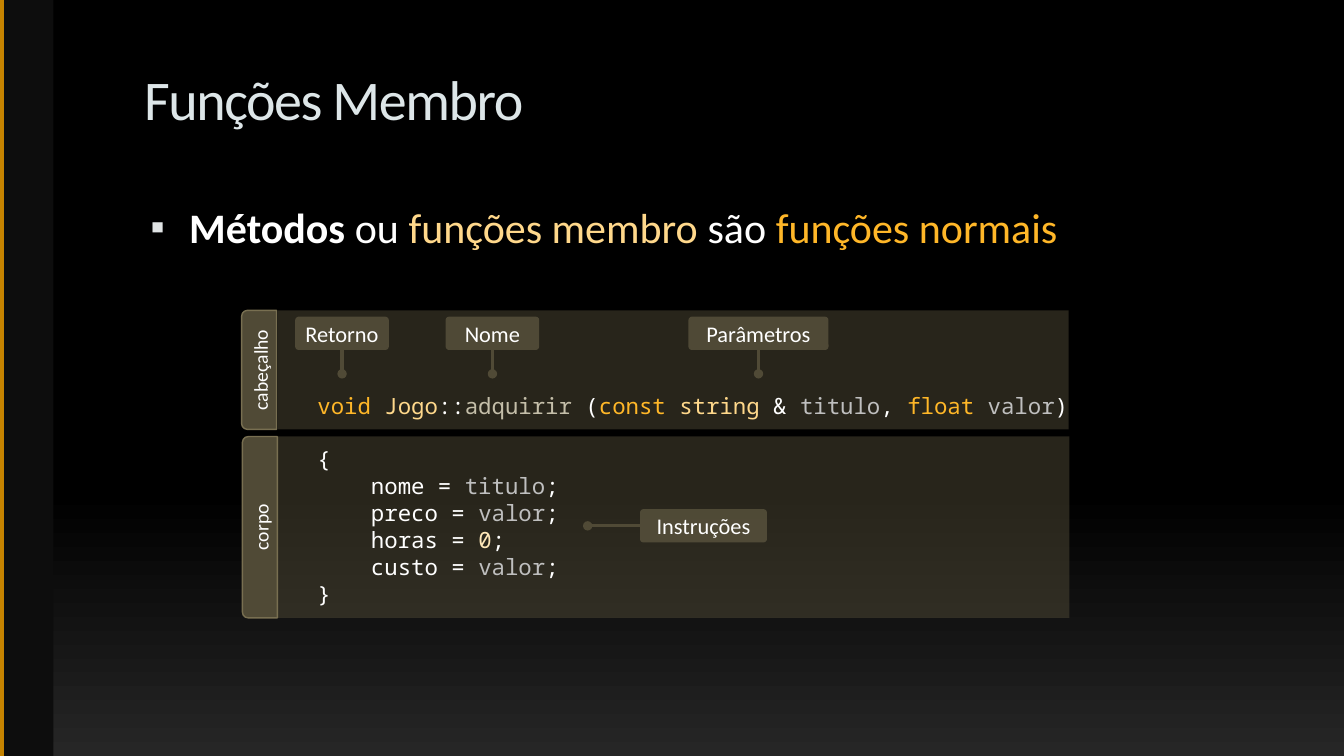
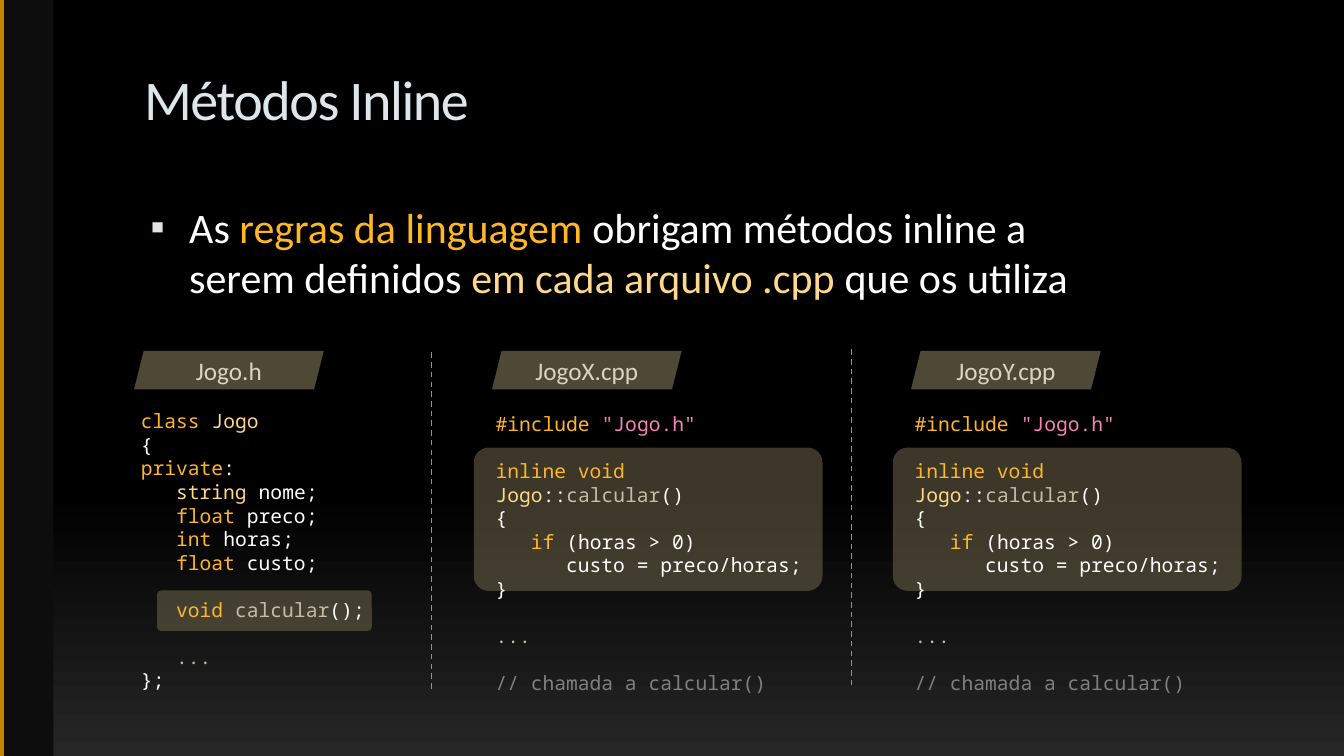
"""Builds two dark slides on C++ member functions and inline methods."""
from copy import deepcopy
from dataclasses import dataclass, field

from lxml import etree
from pptx import Presentation
from pptx import util as u
from pptx.dml.color import RGBColor
from pptx.enum import dml, shapes, text
from pptx.oxml.ns import qn

Cm = u.Cm
Kind = shapes.MSO_SHAPE


@dataclass(frozen=True)
class Theme:
    sans: str = "Calibri"
    mono: str = "Noto Sans Mono"
    title: int = 40
    body: int = 30
    heading: int = 18
    label: int = 16
    tab: int = 14
    code_large: int = 16
    code_small: int = 14
    leading: float = 1.2
    corner: float = 0.104
    backdrop: tuple = ((0, "000000"), (0.65, "000000"), (1, "262626"))
    colours: dict = field(default_factory=lambda: {
        "plain": "FFFFFF", "strong": "FFFFFF", "key": "FFB728",
        "type": "FFD88B", "method": "C4BEA9", "variable": "BFBFBF",
        "number": "FFE8B9", "string": "F684B8", "comment": "808080",
        "title": "DDE6E8", "heading": "D8D4C5", "bullet": "E0E4E5",
        "sidebar": "0D0D0D", "accent": "C58300", "chip": "9D936F",
        "panel": "786F51", "band": "504A36",
    })


THEME = Theme()

MEMBER_TITLE = "Funções Membro"
MEMBER_BODY = [[("strong", "Métodos"), ("plain", " ou "), ("type", "funções membro"),
                ("plain", " são "), ("key", "funções normais")]]
MEMBER_CODE = [
    [("key", "void "), ("type", "Jogo"), ("plain", "::"), ("method", "adquirir "),
     ("plain", "("), ("key", "const "), ("type", "string "), ("plain", "& "),
     ("variable", "titulo"), ("plain", ", "), ("key", "float "),
     ("variable", "valor"), ("plain", ")")],
    [],
    [("plain", "{")],
    [("plain", "    nome = "), ("variable", "titulo"), ("plain", ";")],
    [("plain", "    preco = "), ("variable", "valor"), ("plain", ";")],
    [("plain", "    horas = "), ("number", "0"), ("plain", ";")],
    [("plain", "    custo = "), ("variable", "valor"), ("plain", ";")],
    [("plain", "}")],
]
BANDS = [("cabeçalho", 6.99, 7.82, 3), ("corpo", 7.01, 11, 4.57)]
CALLOUTS = [
    ("Retorno", 7.44, 7.98, 2.36, "down"),
    ("Nome", 11.23, 7.98, 2.36, "down"),
    ("Parâmetros", 17.35, 7.98, 3.53, "down"),
    ("Instruções", 16.13, 12.83, 3.2, "left"),
]

INLINE_TITLE = "Métodos Inline"
INLINE_BODY = [[("plain", "As "), ("key", "regras da linguagem"),
                ("plain", " obrigam métodos inline a serem definidos "),
                ("type", "em cada arquivo .cpp"), ("plain", " que os utiliza")]]
HEADER_CODE = [
    [("key", "class "), ("type", "Jogo")],
    [("plain", "{")],
    [("key", "private"), ("plain", ":")],
    [("type", "   string"), ("plain", " nome;")],
    [("key", "   float"), ("plain", " preco;")],
    [("key", "   int"), ("plain", " horas;")],
    [("key", "   float"), ("plain", " custo;")],
    [],
    [("key", "   void "), ("method", "calcular"), ("plain", "();")],
    [],
    [("method", "   ...")],
    [("plain", "};")],
]
SOURCE_CODE = [
    [("key", "#include "), ("string", '"Jogo.h"')],
    [],
    [("key", "inline void "), ("type", "Jogo"), ("plain", "::"),
     ("method", "calcular"), ("plain", "()")],
    [("plain", "{")],
    [("key", "   if"), ("plain", " (horas > 0)")],
    [("plain", "      custo = preco/horas;")],
    [("plain", "}")],
    [],
    [("method", "...")],
    [],
    [("comment", "// chamada a calcular()")],
]
HEADER_FILE = {"code": HEADER_CODE, "code_box": (-0.08, 10.19, 6.25, 7.44),
               "panel_box": (0.58, 14.88, 5.41, 1.02)}
SOURCE_FILE = {"code": SOURCE_CODE, "code_box": (-0.16, 10.26, 8.26, 6.83),
               "panel_box": (-0.46, 11.28, 8.79, 3.61)}
FILES = [("Jogo.h", 3.38, HEADER_FILE), ("JogoX.cpp", 12.4, SOURCE_FILE),
         ("JogoY.cpp", 22.96, SOURCE_FILE)]
DIVIDERS = [(10.87, 8.81, 17.35), (21.46, 8.71, 17.27)]


def colour(role):
    return RGBColor.from_string(THEME.colours[role])


def lengths(values):
    return [Cm(value) for value in values]


def write(frame, lines, *, size, font=THEME.sans, align=text.PP_ALIGN.LEFT,
          anchor=text.MSO_ANCHOR.TOP, leading=None, spacing=None, bullet=False):
    frame.word_wrap = True
    frame.vertical_anchor = anchor
    gap = 0
    paragraph = None
    for line in lines:
        if not line:
            gap += leading
            continue
        paragraph = frame.add_paragraph() if paragraph else frame.paragraphs[0]
        paragraph.alignment = align
        if bullet:
            add_bullet(paragraph)
        if leading:
            paragraph.line_spacing = u.Pt(leading)
        if gap:
            paragraph.space_before = u.Pt(gap)
            gap = 0
        for role, words in line:
            run = paragraph.add_run()
            run.text = words
            run.font.name = font
            run.font.size = u.Pt(size)
            run.font.bold = role == "strong"
            run.font.color.rgb = colour(role)
            if spacing:
                run.font._element.set("spc", str(spacing))


def add_bullet(paragraph):
    properties = paragraph._p.get_or_add_pPr()
    properties.set("marL", str(Cm(1.14)))
    properties.set("indent", str(Cm(-0.97)))
    tint = etree.SubElement(properties, qn("a:buClr"))
    etree.SubElement(tint, qn("a:srgbClr"), val=THEME.colours["bullet"])
    etree.SubElement(properties, qn("a:buSzPct"), val="95000")
    etree.SubElement(properties, qn("a:buFont"), typeface=THEME.sans)
    etree.SubElement(properties, qn("a:buChar"), char="▪")


def add_text(slide, box, lines, *, inset=None, **style):
    frame = slide.shapes.add_textbox(*lengths(box)).text_frame
    if inset is not None:
        frame.margin_left = frame.margin_right = Cm(inset)
        frame.margin_top = frame.margin_bottom = Cm(inset)
    write(frame, lines, **style)


def add_code(slide, box, lines, size):
    add_text(slide, box, lines, size=size, font=THEME.mono, leading=size * THEME.leading)


def add_block(slide, kind, box, role, *, alpha=None, outline=None):
    shape = slide.shapes.add_shape(kind, *lengths(box))
    shape.shadow.inherit = False
    shape.fill.solid()
    shape.fill.fore_color.rgb = colour(role)
    if alpha:
        tint = shape._element.spPr.find(qn("a:solidFill"))[0]
        etree.SubElement(tint, qn("a:alpha"), val=str(alpha * 1000))
    if outline:
        shape.line.color.rgb = colour(outline)
        shape.line.width = u.Pt(1)
    else:
        shape.line.fill.background()
    if kind == Kind.ROUNDED_RECTANGLE:
        shape.adjustments[0] = THEME.corner
    return shape


def add_line(slide, ends, role, width, *, dashed=False, dot=False):
    line = slide.shapes.add_connector(shapes.MSO_CONNECTOR.STRAIGHT, *lengths(ends))
    line.line.color.rgb = colour(role)
    line.line.width = u.Pt(width)
    if dashed:
        line.line.dash_style = dml.MSO_LINE.DASH
    if dot:
        etree.SubElement(line.line._get_or_add_ln(), qn("a:tailEnd"), type="oval")
    etree.SubElement(line._element.spPr, qn("a:effectLst"))


def set_backdrop(master):
    fill = master.background.fill
    fill.gradient()
    fill.gradient_angle = 270
    first = master.element.find(".//" + qn("a:gsLst"))[0]
    first.addnext(deepcopy(first))
    for stop, (position, value) in zip(fill.gradient_stops, THEME.backdrop):
        stop.position = position
        stop.color.rgb = RGBColor.from_string(value)


def start_slide(presentation, title, body):
    slide = presentation.slides.add_slide(presentation.slide_layouts[6])
    add_block(slide, Kind.RECTANGLE, (0, 0, 1.35, 19.05), "sidebar")
    add_line(slide, (0.05, 0, 0.05, 19.05), "accent", 3)
    add_text(slide, (3.38, 1.5, 24.16, 2.54), [[("title", title)]],
             size=THEME.title, spacing=-100)
    add_text(slide, (3.38, 4.95, 24.6, 3), body, size=THEME.body, bullet=True)
    return slide


def build_member_slide(presentation):
    slide = start_slide(presentation, MEMBER_TITLE, MEMBER_BODY)
    chip_height, tab_width = 0.84, 0.88
    for _, left, top, width, _ in CALLOUTS:
        add_block(slide, Kind.ROUNDED_RECTANGLE, (left, top, width, chip_height),
                  "chip", alpha=50)
    for name, left, top, height in BANDS:
        add_block(slide, Kind.RECTANGLE, (left, top, 19.94, height), "band", alpha=50)
        centre_x, centre_y = left - 0.46, top + height / 2
        box = (centre_x - height / 2, centre_y - tab_width / 2, height, tab_width)
        tab = add_block(slide, Kind.ROUND_2_SAME_RECTANGLE, box, "band", outline="panel")
        tab.rotation = 270
        write(tab.text_frame, [[("plain", name)]], size=THEME.tab,
              align=text.PP_ALIGN.CENTER, anchor=text.MSO_ANCHOR.MIDDLE)
    add_code(slide, (7.75, 9.75, 19.63, 6.4), MEMBER_CODE, THEME.code_large)
    for name, left, top, width, direction in CALLOUTS:
        add_text(slide, (left, top, width, chip_height), [[("plain", name)]], inset=0,
                 size=THEME.label, align=text.PP_ALIGN.CENTER,
                 anchor=text.MSO_ANCHOR.MIDDLE)
        middle_x, middle_y = left + width / 2, top + chip_height / 2
        bottom = top + chip_height
        pins = {"down": (middle_x, bottom, middle_x, bottom + 0.6),
                "left": (left, middle_y, left - 1.32, middle_y)}
        add_line(slide, pins[direction], "band", 2.25, dot=True)


def build_inline_slide(presentation):
    slide = start_slide(presentation, INLINE_TITLE, INLINE_BODY)
    for x, top, bottom in DIVIDERS:
        add_line(slide, (x, bottom, x, top), "chip", 1, dashed=True)
    for name, left, file in FILES:
        heading = add_block(slide, Kind.PARALLELOGRAM, (left, 8.84, 4.78, 0.97),
                            "chip", alpha=50)
        write(heading.text_frame, [[("heading", name)]], size=THEME.heading,
              align=text.PP_ALIGN.CENTER, anchor=text.MSO_ANCHOR.MIDDLE)
        offset, *rest = file["panel_box"]
        add_block(slide, Kind.ROUNDED_RECTANGLE, (left + offset, *rest), "panel", alpha=50)
        offset, *rest = file["code_box"]
        add_code(slide, (left + offset, *rest), file["code"], THEME.code_small)


def main():
    presentation = Presentation()
    presentation.slide_width = Cm(33.87)
    presentation.slide_height = Cm(19.05)
    set_backdrop(presentation.slide_master)
    build_member_slide(presentation)
    build_inline_slide(presentation)
    presentation.save("out.pptx")


if __name__ == "__main__":
    main()
